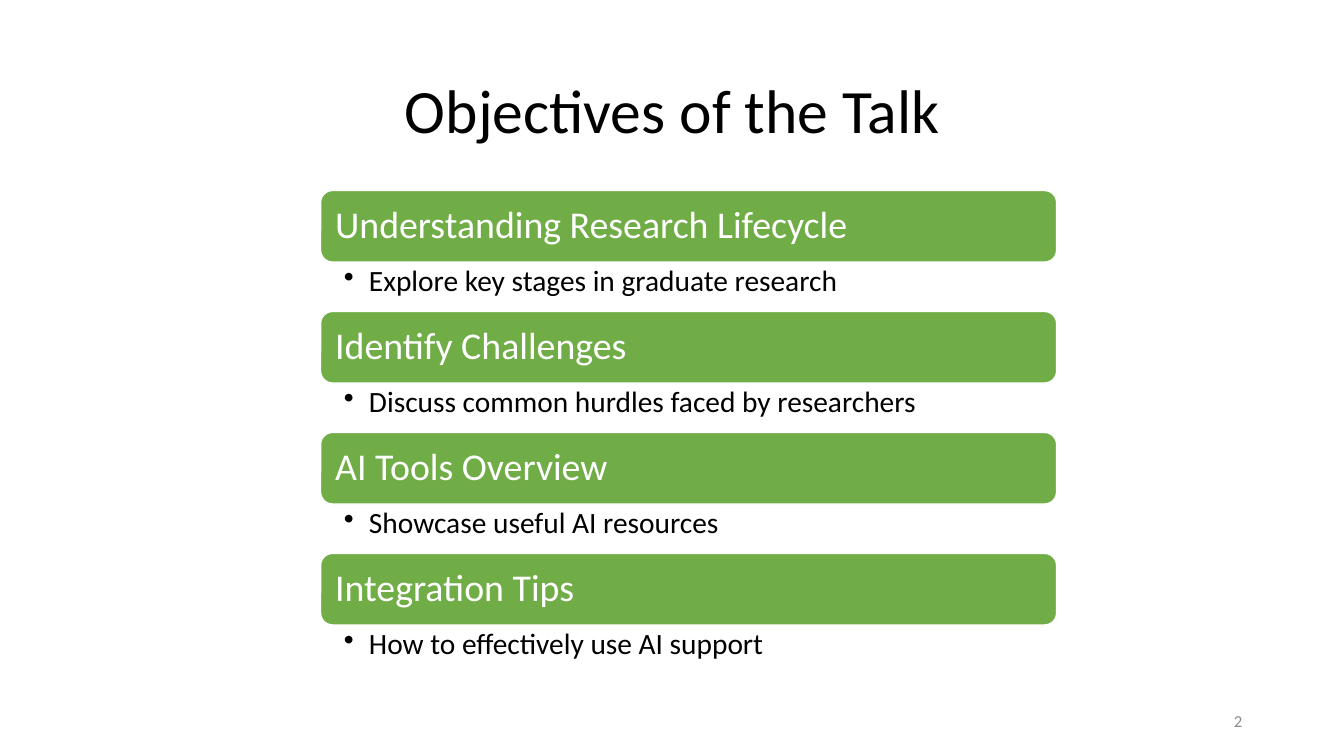
from lxml import etree
from pptx import Presentation
from pptx.dml.color import RGBColor
from pptx.enum.shapes import MSO_SHAPE
from pptx.enum.text import MSO_ANCHOR, PP_ALIGN
from pptx.oxml.ns import qn
from pptx.util import Inches, Pt

ROUNDED = MSO_SHAPE.ROUNDED_RECTANGLE
MIDDLE, TOP = MSO_ANCHOR.MIDDLE, MSO_ANCHOR.TOP
LEFT, CENTER, RIGHT = PP_ALIGN.LEFT, PP_ALIGN.CENTER, PP_ALIGN.RIGHT

GREEN = RGBColor(0x70, 0xAD, 0x47)
WHITE = RGBColor(0xFF, 0xFF, 0xFF)
BLACK = RGBColor(0x00, 0x00, 0x00)
GRAY = RGBColor(0x8C, 0x8C, 0x8C)

LIST_LEFT, LIST_TOP, LIST_WIDTH = 3.18, 1.89, 7.3
HEADING_HEIGHT, DETAIL_HEIGHT = 0.71, 0.49
ROW_PITCH = HEADING_HEIGHT + DETAIL_HEIGHT

OBJECTIVES = [
    ("Understanding Research Lifecycle", "Explore key stages in graduate research"),
    ("Identify Challenges", "Discuss common hurdles faced by researchers"),
    ("AI Tools Overview", "Showcase useful AI resources"),
    ("Integration Tips", "How to effectively use AI support"),
]


def write(shape, text, size, color, align, anchor, margins, spacing=0.9):
    """Fill a shape with one paragraph; margins are left, top, right, bottom in inches."""
    frame = shape.text_frame
    frame.word_wrap = True
    frame.vertical_anchor = anchor
    (frame.margin_left, frame.margin_top,
     frame.margin_right, frame.margin_bottom) = [Inches(m) for m in margins]
    paragraph = frame.paragraphs[0]
    paragraph.text = text
    paragraph.alignment = align
    paragraph.line_spacing = spacing
    paragraph.font.size = Pt(size)
    paragraph.font.name = "Calibri"
    paragraph.font.color.rgb = color
    return paragraph


def add_bullet(paragraph, indent):
    properties = paragraph._p.get_or_add_pPr()
    properties.set("marL", str(Inches(indent)))
    properties.set("indent", str(-Inches(indent)))
    bullet = etree.Element(qn("a:buChar"), char="•")
    defaults = properties.find(qn("a:defRPr"))
    defaults.addprevious(bullet)


prs = Presentation()
prs.slide_width, prs.slide_height = Inches(13.33), Inches(7.5)
slide = prs.slides.add_slide(prs.slide_layouts[5])

title = slide.shapes.title
title.left, title.top = Inches(0.92), Inches(0.4)
title.width, title.height = Inches(11.5), Inches(1.45)
write(title, "Objectives of the Talk", 44, BLACK, CENTER, MIDDLE, (0.1, 0.05, 0.1, 0.05))

for row, (heading_text, detail_text) in enumerate(OBJECTIVES):
    top = LIST_TOP + row * ROW_PITCH
    heading = slide.shapes.add_shape(
        ROUNDED, Inches(LIST_LEFT), Inches(top), Inches(LIST_WIDTH), Inches(HEADING_HEIGHT))
    heading.shadow.inherit = False
    heading.fill.solid()
    heading.fill.fore_color.rgb = GREEN
    heading.line.color.rgb = WHITE
    heading.line.width = Pt(1)
    write(heading, heading_text, 27, WHITE, LEFT, MIDDLE, (0.11, 0.11, 0.11, 0.11))

    detail = slide.shapes.add_textbox(
        Inches(LIST_LEFT), Inches(top + HEADING_HEIGHT),
        Inches(LIST_WIDTH), Inches(DETAIL_HEIGHT))
    detail_line = write(detail, detail_text, 21, BLACK, LEFT, TOP, (0.23, 0.04, 0.21, 0.04))
    add_bullet(detail_line, 0.25)

page_number = slide.shapes.add_textbox(Inches(9.42), Inches(6.95), Inches(3), Inches(0.4))
write(page_number, "2", 12, GRAY, RIGHT, MIDDLE, (0.1, 0.05, 0.1, 0.05), spacing=1.0)

prs.save("out.pptx")
